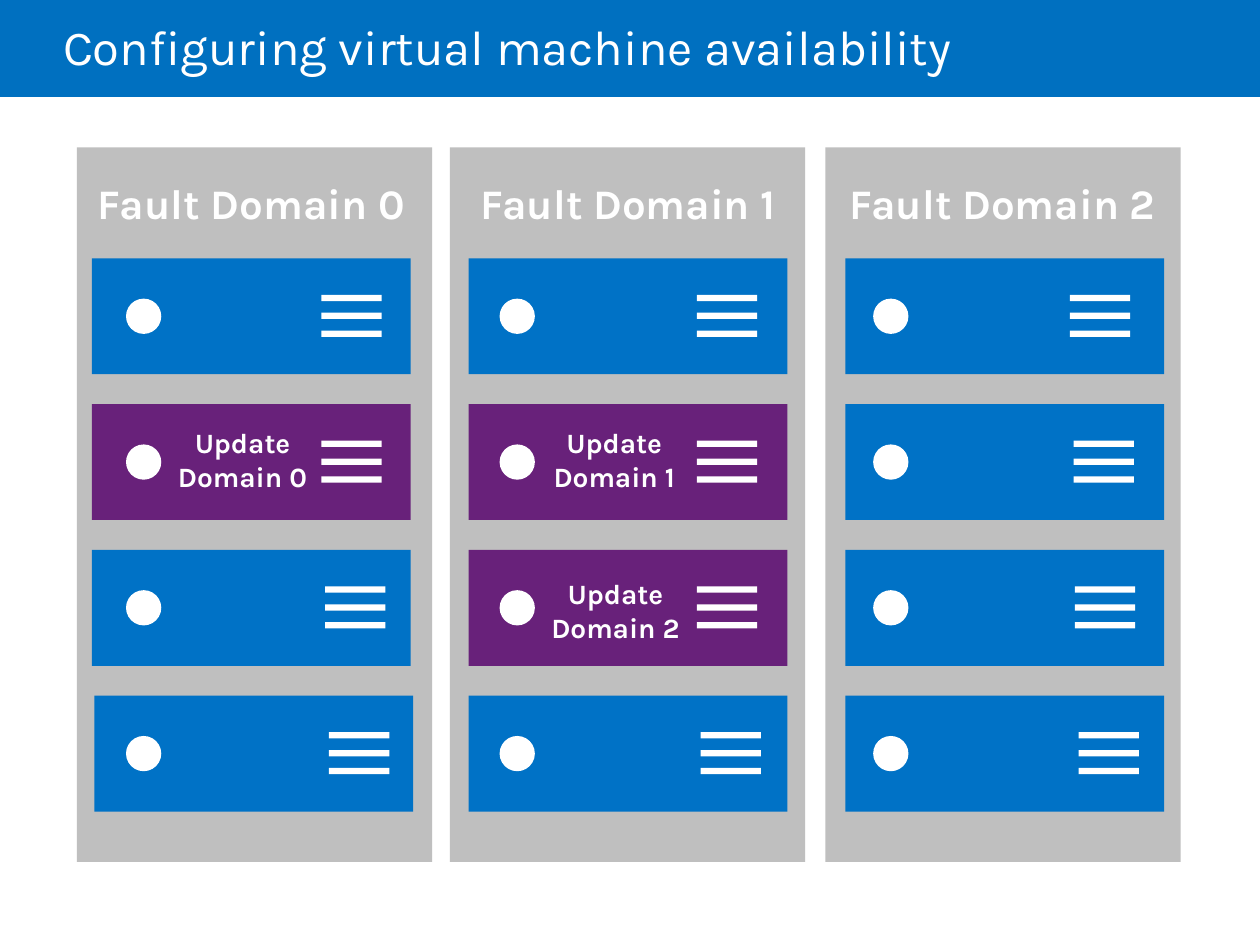
from pptx import Presentation
from pptx.dml.color import RGBColor
from pptx.enum.shapes import MSO_SHAPE
from pptx.enum.text import MSO_ANCHOR, MSO_AUTO_SIZE, PP_ALIGN
from pptx.util import Inches, Pt

WHITE = RGBColor(0xFF, 0xFF, 0xFF)
GREY = RGBColor(0xBF, 0xBF, 0xBF)
BAND = RGBColor(0x00, 0x70, 0xC0)
BLUE = RGBColor(0x00, 0x72, 0xC6)
PURPLE = RGBColor(0x68, 0x21, 0x7A)

COLS, ROWS = 100, 75
STEP = 11.57    # rows from one server to the next
RACKS = (6.1, 35.7, 65.5)
HEADS = (6.7, 36.6, 66.3)
BARS = (        # left of the bars, by rack and server
    (25.5, 25.5, 25.8, 26.1),
    (55.3, 55.3, 55.3, 55.6),
    (84.9, 85.2, 85.3, 85.6),
)
UPDATES = {     # (rack, server): left and top of its label
    (0, 1): (6, 33.3),
    (1, 1): (35.5, 33.3),
    (1, 2): (35.6, 45.3),
}


class Deck:
    """Style and current slide; every length is in grid columns and rows."""

    def __init__(self):
        self.prs = Presentation()
        self.prs.slide_width = Inches(10)
        self.prs.slide_height = Inches(7.5)
        self.font = "Karla"
        self.slide = self.prs.slides.add_slide(self.prs.slide_layouts[5])

    def box(self, x, y, w, h):
        wide, high = self.prs.slide_width, self.prs.slide_height
        return (round(wide * x / COLS), round(high * y / ROWS),
                round(wide * w / COLS), round(high * h / ROWS))

    def shape(self, x, y, w, h, fill, kind=MSO_SHAPE.RECTANGLE):
        item = self.slide.shapes.add_shape(kind, *self.box(x, y, w, h))
        item.shadow.inherit = False
        item.fill.solid()
        item.fill.fore_color.rgb = fill
        item.line.fill.background()
        return item

    def add_text(self, para, text, size, align, bold=False):
        para.alignment = align
        run = para.add_run()
        run.text = text
        font = run.font
        font.name, font.size, font.bold = self.font, Pt(size), bold
        font.color.rgb = WHITE

    def title(self, text):
        item = self.slide.shapes.title
        item.left, item.top, item.width, item.height = self.box(5, 0, 85, 8.1)
        frame = item.text_frame
        frame.auto_size = MSO_AUTO_SIZE.NONE
        frame.vertical_anchor = MSO_ANCHOR.MIDDLE
        frame.margin_left = 0
        para = frame.paragraphs[0]
        para.line_spacing = 0.85
        self.add_text(para, text, 28, PP_ALIGN.LEFT)
        band = self.shape(0, 0, COLS, 7.7, BAND)
        item._element.addprevious(band._element)    # band goes behind the title

    def label(self, x, y, h, size, *lines):
        item = self.slide.shapes.add_textbox(*self.box(x, y, 26.5, h))
        frame = item.text_frame
        frame.word_wrap = True
        frame.auto_size = MSO_AUTO_SIZE.SHAPE_TO_FIT_TEXT
        for i, line in enumerate(lines):
            para = frame.add_paragraph() if i else frame.paragraphs[0]
            self.add_text(para, line, size, PP_ALIGN.CENTER, True)

    def server(self, rack, row):
        drop = STEP * row
        left = 7.3 + 29.9 * rack + (0.2 if (rack, row) == (0, 3) else 0)
        fill = PURPLE if (rack, row) in UPDATES else BLUE
        self.shape(left, 20.5 + drop, 25.3, 9.2, fill)
        for i in range(3):
            self.shape(BARS[rack][row], 23.4 + drop + 1.42 * i, 4.8, 0.5, WHITE)
        self.shape(10 + 29.65 * rack, 23.7 + drop, 2.8, 2.8, WHITE, MSO_SHAPE.OVAL)


def main():
    deck = Deck()
    deck.title("Configuring virtual machine availability")
    for rack, left in enumerate(RACKS):
        deck.shape(left, 11.7, 28.2, 56.7, GREY)
        for row in range(4):
            deck.server(rack, row)
        deck.label(HEADS[rack], 13.6, 5, 24, f"Fault Domain {rack}")
    for num, (x, y) in enumerate(UPDATES.values()):
        deck.label(x, y, 6.4, 16, "Update", f"Domain {num}")
    deck.prs.save("out.pptx")


if __name__ == "__main__":
    main()
